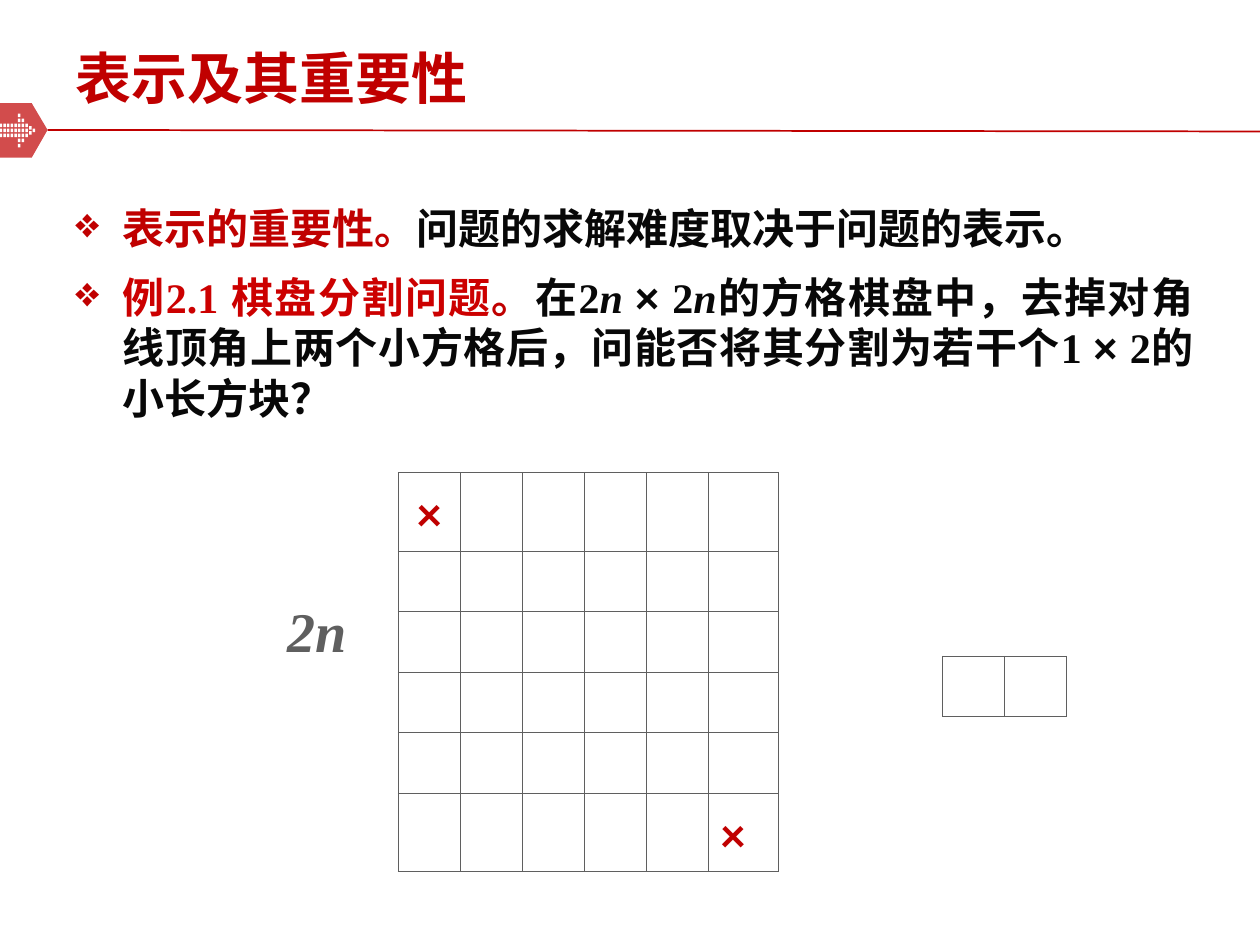
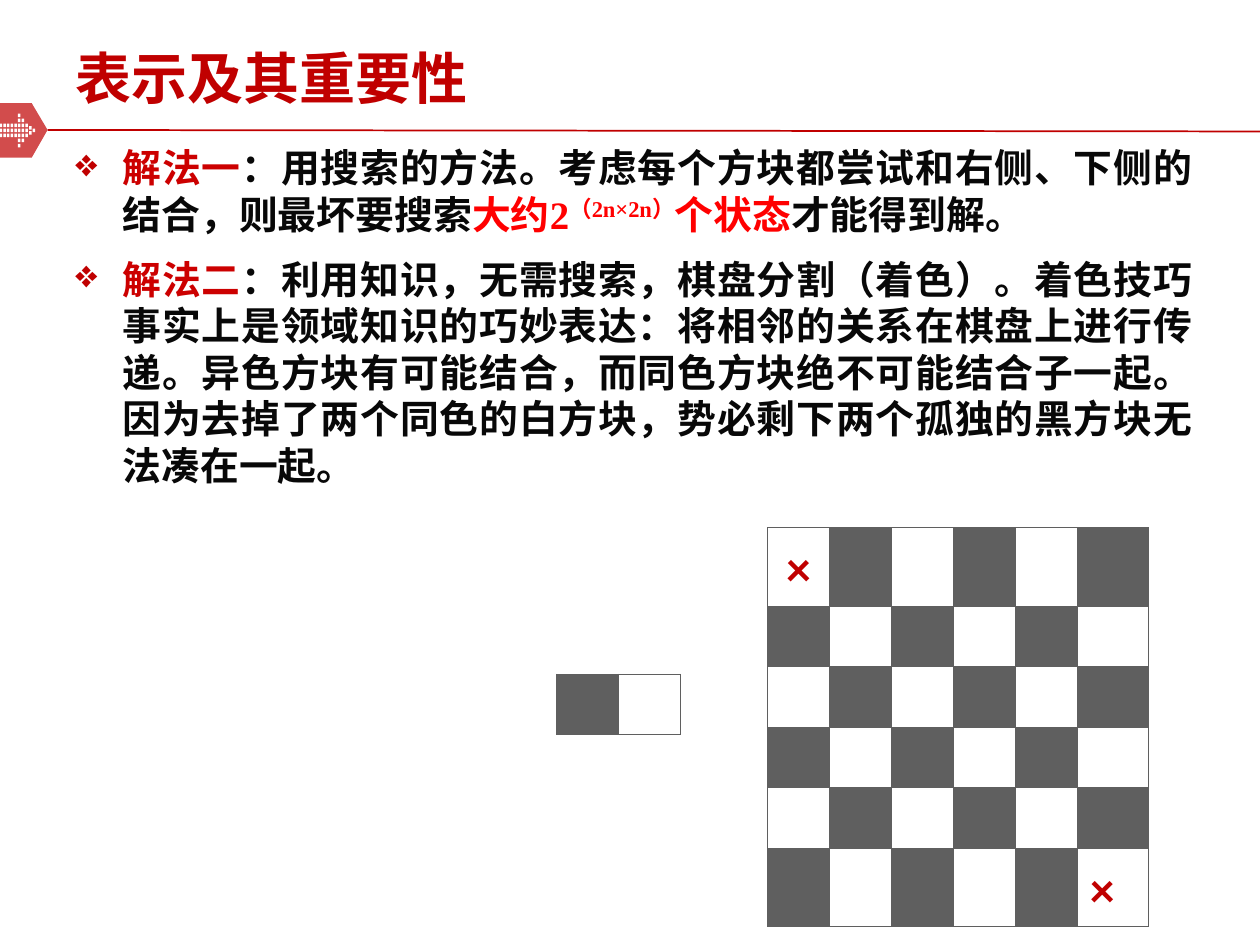
from itertools import product

from lxml.etree import SubElement
from pptx import Presentation
from pptx.dml.color import RGBColor
from pptx.enum.shapes import MSO_CONNECTOR
from pptx.enum.text import MSO_ANCHOR, PP_ALIGN
from pptx.oxml import parse_xml
from pptx.oxml.ns import nsdecls, qn
from pptx.util import Cm, Pt

RED, CRIMSON, BRIGHT_RED = "C00000", "CC0000", "FF0000"
INK, GREY, WHITE = "080808", "5F5F5F", "FFFFFF"
SERIF, SANS, CJK = "Times New Roman", "Arial", "Noto Sans CJK SC"

COLUMN_WIDTHS = [1.25] * 5 + [1.42]
ROW_HEIGHTS = [1.58] + [1.22] * 4 + [1.58]
CORNER_MARKS = {(0, 0): PP_ALIGN.CENTER, (5, 5): PP_ALIGN.JUSTIFY}


def rgb(hex_color):
    return RGBColor.from_string(hex_color)


def style_font(font, name, size, color=None, italic=None):
    """Bold text with a Latin face and the shared Chinese face."""
    font.name, font.size, font.bold, font.italic = name, Pt(size), True, italic
    if color:
        font.color.rgb = rgb(color)
    SubElement(font._element, qn("a:ea"), typeface=CJK)


def add_text_frame(slide, left, top, width, height, wrap=True):
    box = slide.shapes.add_textbox(Cm(left), Cm(top), Cm(width), Cm(height))
    box.text_frame.word_wrap = wrap
    return box.text_frame


def add_outline(slide, outlines, color):
    """Filled freeform made of one or more closed outlines, in cm."""
    outlines = [[(Cm(x), Cm(y)) for x, y in outline] for outline in outlines]
    builder = slide.shapes.build_freeform(*outlines[0][0])
    for index, outline in enumerate(outlines):
        if index:
            builder.move_to(*outline[0])
        builder.add_line_segments(outline[1:], close=True)
    shape = builder.convert_to_shape()
    shape.shadow.inherit = False
    shape.fill.solid()
    shape.fill.fore_color.rgb = rgb(color)
    shape.line.fill.background()
    return shape


def add_dotted_arrow(slide, left, top, width, height):
    """Arrow of small dots on a grid of 11 columns by 7 rows."""
    step_x, step_y = width / 10, height / 6
    dot_width, dot_height = 0.05, 0.07
    # Columns filled at each distance from the middle row
    columns_at = {0: [*range(1, 9), 10], 0.5: [9], 1: range(1, 9), 2: [6, 7], 3: [6]}
    dots = []
    for half_row in range(13):
        row = half_row / 2
        for column in columns_at.get(abs(row - 3), []):
            x, y = left + column * step_x, top + row * step_y
            dots.append([(x, y), (x + dot_width, y),
                         (x + dot_width, y + dot_height), (x, y + dot_height)])
    add_outline(slide, dots, WHITE)


def add_header(slide, title):
    # Translucent flag at the left edge
    flag = add_outline(
        slide, [[(0, 2.08), (0.64, 2.08), (0.96, 2.62), (0.64, 3.18), (0, 3.18)]], RED)
    flag_color = flag._element.spPr.find(qn("a:solidFill"))[0]
    SubElement(flag_color, qn("a:alpha"), val="70000")
    add_dotted_arrow(slide, -0.08, 2.29, 0.74, 0.61)

    # Rule below the title
    rule = slide.shapes.add_connector(
        MSO_CONNECTOR.STRAIGHT, Cm(0.96), Cm(2.62), Cm(25.4), Cm(2.65))
    rule.line.color.rgb = rgb(RED)
    rule.line.width = Pt(1)
    SubElement(rule._element.spPr, qn("a:effectLst"))

    # Title
    frame = add_text_frame(slide, 1.27, 0.76, 22.86, 1.75)
    frame.vertical_anchor = MSO_ANCHOR.MIDDLE
    heading = frame.paragraphs[0]
    heading.text = title
    heading.line_spacing = 0.9
    style_font(heading.font, CJK, 32, RED)


def add_bullets(slide, box, size, bullets):
    """Each bullet is a list of runs: text, colour and optional font settings."""
    frame = add_text_frame(slide, *box)
    for index, runs in enumerate(bullets):
        paragraph = frame.add_paragraph() if index else frame.paragraphs[0]
        paragraph.alignment = PP_ALIGN.JUSTIFY
        paragraph.space_before, paragraph.space_after = Pt(4.5), Pt(6)
        paragraph.line_spacing = 1.0
        properties = paragraph._p.get_or_add_pPr()
        properties.set("marL", str(Cm(0.95)))
        properties.set("indent", str(Cm(-0.95)))
        bullet_color = SubElement(properties, qn("a:buClr"))
        SubElement(bullet_color, qn("a:srgbClr"), val=RED)
        SubElement(properties, qn("a:buChar"), char="❖")
        style_font(paragraph.font, SERIF, size)
        for text, color, *settings in runs:
            run = paragraph.add_run()
            run.text = text
            style = settings[0] if settings else {}
            style_font(run.font, style.get("name", SERIF), size, color, style.get("italic"))
            if "baseline" in style:
                run.font._element.set("baseline", str(style["baseline"]))


def add_grid(slide, left, top, widths, heights, is_dark, marks):
    """Bordered squares; marks maps (row, column) to the alignment of a cross."""
    table = slide.shapes.add_table(
        len(heights), len(widths), Cm(left), Cm(top),
        Cm(sum(widths)), Cm(sum(heights))).table
    table.first_row = table.horz_banding = False
    for column, width in zip(table.columns, widths):
        column.width = Cm(width)
    for row, height in zip(table.rows, heights):
        row.height = Cm(height)

    for row, column in product(range(len(heights)), range(len(widths))):
        square = table.cell(row, column)
        square.fill.solid()
        square.fill.fore_color.rgb = rgb(GREY if is_dark(row, column) else WHITE)
        for position, side in enumerate("LRTB"):
            square._tc.get_or_add_tcPr().insert(position, parse_xml(
                f'<a:ln{side} {nsdecls("a")} w="{Pt(0.45)}"><a:solidFill>'
                f'<a:srgbClr val="{GREY}"/></a:solidFill></a:ln{side}>'))
        if (row, column) in marks:
            cross = square.text_frame.paragraphs[0]
            cross.text = "×"
            cross.alignment = marks[row, column]
            cross.line_spacing, cross.space_after = 1.1, Pt(7)
            style_font(cross.font, "Calibri", 28, RED)


def add_chessboard(slide, left, top, is_dark):
    add_grid(slide, left, top, COLUMN_WIDTHS, ROW_HEIGHTS, is_dark, CORNER_MARKS)


def add_domino(slide, left, top, is_dark):
    add_grid(slide, left, top, [1.25] * 2, [1.22], is_dark, {})


def plain(row, column):
    return False


def build_problem_slide(slide):
    add_header(slide, "表示及其重要性")
    add_bullets(slide, (1.27, 3.96, 23.04, 5.82), 24, [
        [("表示的重要性。", RED),
         ("问题的求解难度取决于问题的表示。", INK)],
        [("例2.1 棋盘分割问题", CRIMSON),
         ("。", RED),
         ("在2", INK),
         ("n ", INK, {"italic": True}),
         ("× ", INK, {"name": SANS}),
         ("2", INK),
         ("n", INK, {"italic": True}),
         ("的方格棋盘中，去掉对角线顶角上两个小方格后，问能否将其分割为若干个1 ", INK),
         ("× ", INK, {"name": SANS}),
         ("2的小长方块？", INK)],
    ])
    add_chessboard(slide, 8.03, 9.53, plain)
    add_domino(slide, 19.0, 13.23, plain)

    # Side length of the board
    side_length = add_text_frame(slide, 5.54, 11.91, 1.7, 1.63, wrap=False).paragraphs[0]
    side_length.text = "2n"
    style_font(side_length.font, SERIF, 32, GREY, italic=True)


def build_solution_slide(slide):
    add_header(slide, "表示及其重要性")
    add_bullets(slide, (1.27, 2.77, 23.04, 7.11), 22.2, [
        [("解法一", CRIMSON),
         ("：用搜索的方法。考虑每个方块都尝试和右侧、下侧的结合，则最坏要搜索", INK),
         ("大约2", BRIGHT_RED),
         ("（2n×2n）", BRIGHT_RED, {"baseline": 30000}),
         ("个状态", BRIGHT_RED),
         ("才能得到解。", INK)],
        [("解法二", CRIMSON),
         ("：利用知识，无需搜索，棋盘分割（着色）。着色技巧事实上是领域知识的巧妙表达："
          "将相邻的关系在棋盘上进行传递。异色方块有可能结合，而同色方块绝不可能结合子一起。"
          "因为去掉了两个同色的白方块，势必剩下两个孤独的黑方块无法凑在一起。", INK)],
    ])
    add_chessboard(slide, 15.47, 10.64, lambda row, column: (row + column) % 2 == 1)
    add_domino(slide, 11.22, 13.59, lambda row, column: column == 0)


def main():
    deck = Presentation()
    deck.slide_width, deck.slide_height = Cm(25.4), Cm(19.05)
    blank = deck.slide_layouts[6]
    for build in (build_problem_slide, build_solution_slide):
        build(deck.slides.add_slide(blank))
    deck.save("out.pptx")


if __name__ == "__main__":
    main()
